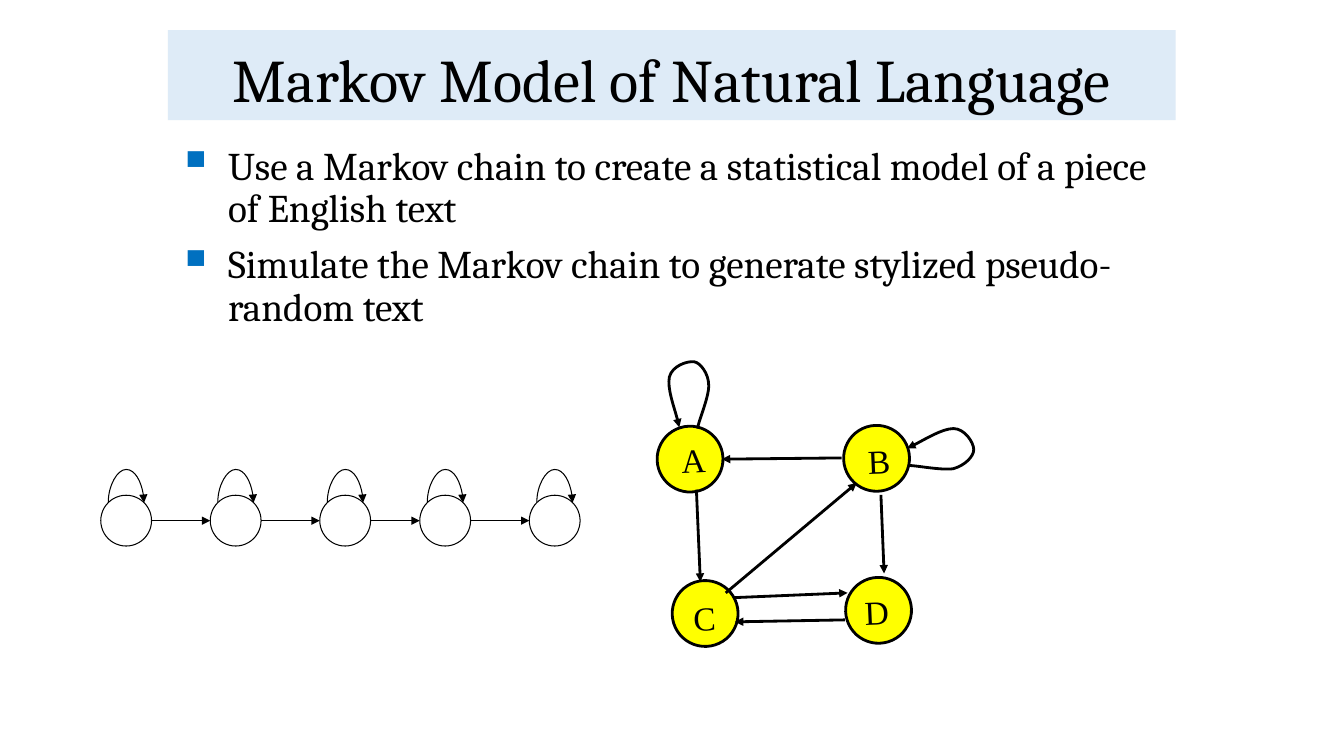
from lxml.etree import SubElement
from pptx import Presentation
from pptx.dml.color import RGBColor
from pptx.enum.shapes import MSO_CONNECTOR, MSO_SHAPE
from pptx.enum.text import MSO_ANCHOR, MSO_AUTO_SIZE, PP_ALIGN
from pptx.oxml.ns import qn
from pptx.util import Cm, Pt

BLACK = RGBColor(0, 0, 0)
YELLOW = RGBColor(0xFF, 0xFF, 0)
PALE = RGBColor(0xDE, 0xEB, 0xF7)
BLUE = RGBColor(0, 0x70, 0xC0)
TILT = -2.5
THIN, THICK = 0.75, 2

TITLE = "Markov Model of Natural Language"
POINTS = [
    "Use a Markov chain to create a statistical model of a piece of English text",
    "Simulate the Markov chain to generate stylized pseudo-random text",
]

# State graph, in cm: circle corner, then label corner and width
STATES = {
    "A": ((16.56, 10.74), (16.92, 10.95, 1.12)),
    "B": ((21.26, 10.72), (21.62, 10.97, 1.07)),
    "C": ((16.94, 14.63), (17.22, 14.94, 1.07)),
    "D": ((21.31, 14.55), (21.54, 14.78, 1.12)),
}
MOVES = [
    (18.29, 14.94, 21.59, 12.17),  # C to B
    (21.29, 15.62, 18.52, 15.67),  # D to C
    (18.49, 15.06, 21.36, 14.94),  # C to D
    (22.2, 12.47, 22.28, 14.45),   # B to D
    (21.21, 11.54, 18.19, 11.57),  # B to A
    (17.55, 12.34, 17.65, 14.66),  # A to C
]
# Bezier points of the loops at A and B
LOOPS = [
    [(17.58, 10.8), (17.6, 10.62), (17.88, 9.98), (17.86, 9.7),
     (17.86, 9.42), (17.65, 9.14), (17.5, 9.12),
     (17.32, 9.09), (16.94, 9.22), (16.87, 9.5),
     (16.81, 9.78), (17.07, 10.49), (17.12, 10.77)],
    [(22.91, 11.73), (23.09, 11.73), (23.75, 11.86), (24.03, 11.81),
     (24.31, 11.73), (24.54, 11.51), (24.54, 11.33),
     (24.54, 11.15), (24.31, 10.8), (24.03, 10.8),
     (23.75, 10.8), (23.09, 11.2), (22.86, 11.3)],
]

# Plain chain, in cm
CHAIN = [2.54, 5.3, 8.06, 10.58, 13.34]
TOP, SIZE = 12.48, 1.28


def style(para, name, size):
    para.font.name = name
    para.font.size = Pt(size)
    para.font.color.rgb = BLACK


def ink(shape, width, arrow=True):
    shape.line.color.rgb = BLACK
    shape.line.width = Pt(width)
    if arrow:
        SubElement(shape.line._get_or_add_ln(), qn("a:tailEnd"), type="triangle")


def add_title(shapes):
    bar = shapes.add_shape(MSO_SHAPE.RECTANGLE, Cm(4.23), Cm(0.76), Cm(25.4), Cm(2.27))
    bar.shadow.inherit = False
    bar.fill.solid()
    bar.fill.fore_color.rgb = PALE
    bar.line.fill.background()
    frame = bar.text_frame
    frame.word_wrap = True
    frame.vertical_anchor = MSO_ANCHOR.BOTTOM
    para = frame.paragraphs[0]
    para.text = TITLE
    para.alignment = PP_ALIGN.CENTER
    para.line_spacing = 0.9
    style(para, "Cambria", 43.2)


def add_bullet(para):
    props = para._p.get_or_add_pPr()
    props.set("marL", str(Cm(1.27)))
    props.set("indent", str(-Cm(1.27)))
    tint = SubElement(props, qn("a:buClr"))
    SubElement(tint, qn("a:srgbClr"), val=str(BLUE))
    SubElement(props, qn("a:buSzPct"), val="125000")
    SubElement(props, qn("a:buChar"), char="▪")


def add_points(shapes):
    frame = shapes.add_textbox(Cm(4.23), Cm(3.56), Cm(25.4), Cm(12.24)).text_frame
    frame.word_wrap = True
    for i, text in enumerate(POINTS):
        para = frame.add_paragraph() if i else frame.paragraphs[0]
        para.text = text
        add_bullet(para)
        para.line_spacing = 0.9
        if i:
            para.space_before = Pt(10)
        style(para, "Cambria", 28)


def add_circle(shapes, x, y, size, width, fill=None):
    ring = shapes.add_shape(MSO_SHAPE.OVAL, Cm(x), Cm(y), Cm(size), Cm(size))
    ring.shadow.inherit = False
    if fill is None:
        ring.fill.background()
    else:
        ring.fill.solid()
        ring.fill.fore_color.rgb = fill
    ink(ring, width, arrow=False)
    return ring


def add_arrow(shapes, ends, width, kind=MSO_CONNECTOR.STRAIGHT):
    arrow = shapes.add_connector(kind, *[Cm(v) for v in ends])
    ink(arrow, width)
    SubElement(arrow._element.spPr, qn("a:effectLst"))
    return arrow


def add_label(shapes, text, x, y, width):
    box = shapes.add_textbox(Cm(x), Cm(y), Cm(width), Cm(1.27))
    box.rotation = TILT
    frame = box.text_frame
    frame.word_wrap = False
    frame.auto_size = MSO_AUTO_SIZE.SHAPE_TO_FIT_TEXT
    frame.paragraphs[0].text = text
    style(frame.paragraphs[0], "Times New Roman", 24)


def add_loop(shapes, points):
    first, *rest = [(Cm(x), Cm(y)) for x, y in points]
    form = shapes.build_freeform(*first)
    form.add_line_segments(rest, close=False)
    loop = form.convert_to_shape()
    loop.shadow.inherit = False
    loop.fill.background()
    ink(loop, THICK)
    # Turn each three segments into one curve
    path = next(loop._element.iter(qn("a:path")))
    lines = path.findall(qn("a:lnTo"))
    for i in range(0, len(lines), 3):
        curve = SubElement(path, qn("a:cubicBezTo"))
        for line in lines[i:i + 3]:
            curve.append(line[0])
            path.remove(line)


def add_arc(shapes, x):
    # A flat curved connector, turned upright over its circle
    mid, y, span, thin = x + SIZE / 2, 12.66, 0.9, 0.02
    ends = (mid - thin / 2, y - span / 2, mid + thin / 2, y + span / 2)
    props = add_arrow(shapes, ends, THIN, MSO_CONNECTOR.CURVE)._element.spPr
    frame = props.find(qn("a:xfrm"))
    frame.set("rot", "5400000")
    frame.set("flipV", "1")
    guides = props.find(qn("a:prstGeom")).find(qn("a:avLst"))
    SubElement(guides, qn("a:gd"), name="adj1", fmla="val -4100000")


def add_graph(shapes):
    for (x, y), _ in STATES.values():
        add_circle(shapes, x, y, 1.66, THICK, YELLOW).rotation = TILT
    for ends in MOVES:
        add_arrow(shapes, ends, THICK)
    for points in LOOPS:
        add_loop(shapes, points)
    for name, (_, place) in STATES.items():
        add_label(shapes, name, *place)


def add_chain(shapes):
    for x in CHAIN:
        add_circle(shapes, x, TOP, SIZE, THIN)
        add_arc(shapes, x)
    mid = TOP + SIZE / 2
    for x, after in zip(CHAIN, CHAIN[1:]):
        add_arrow(shapes, (x + SIZE, mid, after, mid), THIN)


def main():
    deck = Presentation()
    deck.slide_width, deck.slide_height = Cm(33.87), Cm(19.05)
    shapes = deck.slides.add_slide(deck.slide_layouts[6]).shapes
    add_title(shapes)
    add_points(shapes)
    add_graph(shapes.add_group_shape().shapes)
    add_chain(shapes.add_group_shape().shapes)
    deck.save("out.pptx")


if __name__ == "__main__":
    main()
